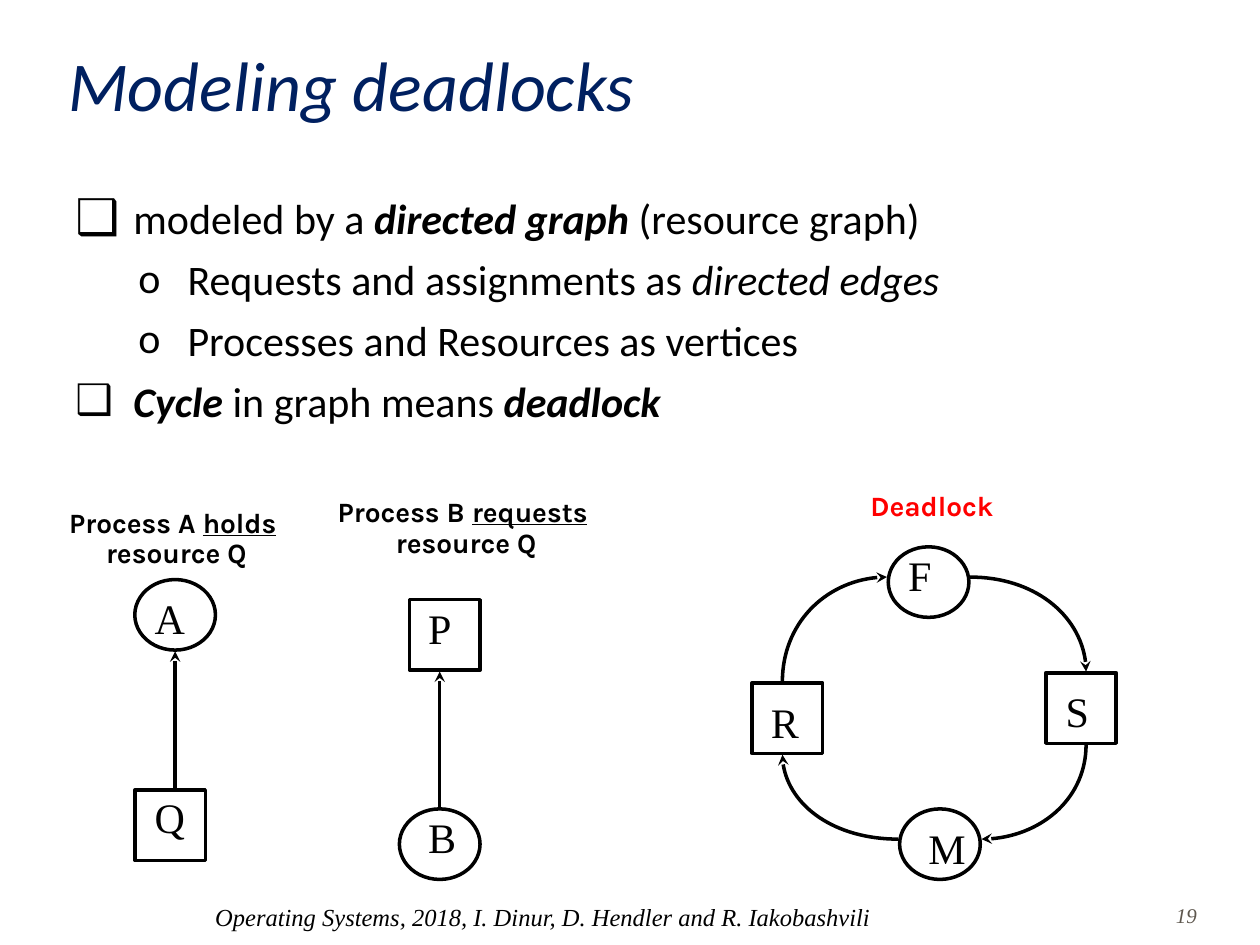
from lxml import etree
from pptx import Presentation
from pptx.dml.color import RGBColor
from pptx.enum.shapes import MSO_CONNECTOR, MSO_SHAPE
from pptx.enum.text import MSO_ANCHOR, MSO_AUTO_SIZE, PP_ALIGN
from pptx.oxml.ns import qn
from pptx.util import Inches, Pt

RECT, OVAL = MSO_SHAPE.RECTANGLE, MSO_SHAPE.OVAL
LINE = MSO_CONNECTOR.STRAIGHT
LEFT, MID = PP_ALIGN.LEFT, PP_ALIGN.CENTER
TOP, CENTER = MSO_ANCHOR.TOP, MSO_ANCHOR.MIDDLE
FIXED = MSO_AUTO_SIZE.NONE

COLORS = {"ink": "000000", "paper": "FFFFFF", "title": "002060",
          "alert": "FF0000", "page": "5E574E"}
SERIF, SANS, LABEL = "Times New Roman", "Calibri", "Karla"

# Content: a run is (text, style), where style holds any of b, i, u
TITLE = "Modeling deadlocks"
POINTS = [
    (0, 117, [("modeled by a ", ""), ("directed graph", "bi"),
              (" (resource graph)", "")]),
    (1, 100, [("Requests and assignments as ", ""),
              ("directed edges", "i")]),
    (1, 100, [("Processes and Resources as vertices", "")]),
    (0, 100, [("Cycle", "bi"), (" in graph means ", ""),
              ("deadlock", "bi")]),
]
LEVELS = [("❑", 0.46, 0.46), ("o", 0.89, 0.39)]  # mark, margin, hang

# Vertices: letter, shape, left, top, label left, label top
NODES = [
    ("Q", RECT, 1.07, 6.27, 1.13, 6.23),
    ("A", OVAL, 1.07, 4.6, 1.13, 4.65),
    ("P", RECT, 3.25, 4.76, 3.3, 4.73),
    ("B", OVAL, 3.17, 6.42, 3.3, 6.39),
    ("R", RECT, 5.97, 5.42, 6.02, 5.48),
    ("S", RECT, 8.3, 5.34, 8.36, 5.39),
    ("F", OVAL, 7.05, 4.34, 7.11, 4.31),
    ("M", OVAL, 7.14, 6.42, 7.27, 6.48),
]
WIDTHS = {RECT: 0.56, OVAL: 0.64}
HIGH = 0.56

EDGES = [(1.39, 6.25, 5.17), (3.49, 6.41, 5.33)]  # x, from y, to y
# Cycle edges: start, end, whether the curve leaves upright
CURVES = [
    ((6.21, 5.41), (7.04, 4.58), True),
    ((7.7, 4.58), (8.62, 5.33), False),
    ((8.62, 5.91), (7.79, 6.66), True),
    ((7.13, 6.66), (6.21, 5.99), False),
]
BEND = 0.55  # control distance of a quarter ellipse

CAPTIONS = [
    ("A", "holds", (0.32, 3.99, 2.16, 0.58)),
    ("B", "requests", (2.56, 3.91, 2.28, 1.23)),
]
FOOTER = "Operating Systems, 2018, I. Dinur, D. Hendler and R. Iakobashvili"


def rgb(name):
    return RGBColor.from_string(COLORS[name])


def write(para, runs, size=24, font=SERIF, color="ink", align=LEFT):
    """Fill a paragraph; a plain string counts as one unstyled run."""
    para.alignment = align
    for text, style in [(runs, "")] if isinstance(runs, str) else runs:
        if text == "\n":
            para.add_line_break()
            continue
        run = para.add_run()
        run.text = text
        face = run.font
        face.size, face.name = Pt(size), font
        face.color.rgb = rgb(color)
        face.bold, face.italic = "b" in style, "i" in style
        face.underline = "u" in style


def add_box(slide, at, wrap=True):
    frame = slide.shapes.add_textbox(*map(Inches, at)).text_frame
    frame.word_wrap = wrap
    frame.vertical_anchor = TOP
    return frame


def add_mark(para, level, scale):
    mark, margin, hang = LEVELS[level]
    props = para._p.get_or_add_pPr()
    props.set("marL", str(Inches(margin)))
    props.set("indent", str(-Inches(hang)))
    if scale != 100:
        etree.SubElement(props, qn("a:buSzPct"), val=str(scale * 1000))
    etree.SubElement(props, qn("a:buFont"), typeface=SANS)
    etree.SubElement(props, qn("a:buChar"), char=mark)


def add_tip(shape):
    """Give an edge its black line and stealth arrowhead."""
    shape.line.color.rgb = rgb("ink")
    shape.line.width = Pt(2)
    etree.SubElement(shape.line._get_or_add_ln(), qn("a:tailEnd"),
                     type="stealth")


def add_curve(slide, start, end, upright):
    """Draw a quarter ellipse between two points as one Bézier."""
    (x, y), (u, v) = start, end
    if upright:
        bends = [(x, y + BEND * (v - y)), (u - BEND * (u - x), v)]
    else:
        bends = [(x + BEND * (u - x), y), (u, v - BEND * (v - y))]
    first, *rest = [tuple(map(Inches, spot))
                    for spot in (start, *bends, end)]
    pen = slide.shapes.build_freeform(*first)
    pen.add_line_segments(rest, close=False)
    curve = pen.convert_to_shape()
    # Merge the three segments into one cubic segment
    legs = list(curve._element.iter(qn("a:lnTo")))
    cubic = etree.SubElement(legs[0].getparent(), qn("a:cubicBezTo"))
    for leg in legs:
        cubic.append(leg[0])
        leg.getparent().remove(leg)
    curve.fill.background()
    curve.shadow.inherit = False
    add_tip(curve)


def main():
    deck = Presentation()
    deck.slide_width, deck.slide_height = Inches(10), Inches(7.5)
    slide = deck.slides.add_slide(deck.slide_layouts[5])

    # Title
    title = slide.shapes.title
    title.left, title.top = Inches(0.44), Inches(0.25)
    title.width, title.height = Inches(8.5), Inches(0.83)
    frame = title.text_frame
    frame.auto_size, frame.vertical_anchor = FIXED, CENTER
    write(frame.paragraphs[0], [(TITLE, "i")], size=40, font=SANS,
          color="title")

    # Bulleted points
    frame = add_box(slide, (0.5, 1.48, 9.25, 5.27))
    for index, (level, scale, runs) in enumerate(POINTS):
        para = frame.add_paragraph() if index else frame.paragraphs[0]
        para.level = level
        if index:
            para.space_before = Pt(6)
        add_mark(para, level, scale)
        write(para, runs, font=SANS)

    # Vertices and their letters
    for letter, kind, left, top, *spot in NODES:
        size = (left, top, WIDTHS[kind], HIGH)
        node = slide.shapes.add_shape(kind, *map(Inches, size))
        node.shadow.inherit = False
        node.fill.solid()
        node.fill.fore_color.rgb = rgb("paper")
        node.line.color.rgb = rgb("ink")
        node.line.width = Pt(2)
        frame = add_box(slide, (*spot, 0.44, 0.5), wrap=False)
        write(frame.paragraphs[0], letter)

    # Straight and curved edges
    for x, start, end in EDGES:
        edge = slide.shapes.add_connector(
            LINE, *map(Inches, (x, start, x, end)))
        add_tip(edge)
        etree.SubElement(edge._element.spPr, qn("a:effectLst"))
    for curve in CURVES:
        add_curve(slide, *curve)

    # Captions
    for name, verb, at in CAPTIONS:
        para = add_box(slide, at).paragraphs[0]
        para.line_spacing = 0.9
        write(para, [(f"Process {name} ", "b"), (verb, "bu"), (" ", "b"),
                     ("\n", ""), ("resource Q", "b")],
              size=16, font=LABEL, align=MID)
    frame = add_box(slide, (6.81, 3.83, 1.34, 0.37))
    write(frame.paragraphs[0], [("Deadlock", "b")], size=16, font=LABEL,
          color="alert")

    # Footer and page number
    frame = add_box(slide, (1.61, 7.11, 6.53, 0.39))
    write(frame.paragraphs[0], [(FOOTER, "i")], size=14)
    frame = add_box(slide, (9.17, 7.11, 0.49, 0.32))
    write(frame.paragraphs[0], [("19", "i")], size=12, color="page",
          align=MID)

    deck.save("out.pptx")


if __name__ == "__main__":
    main()
